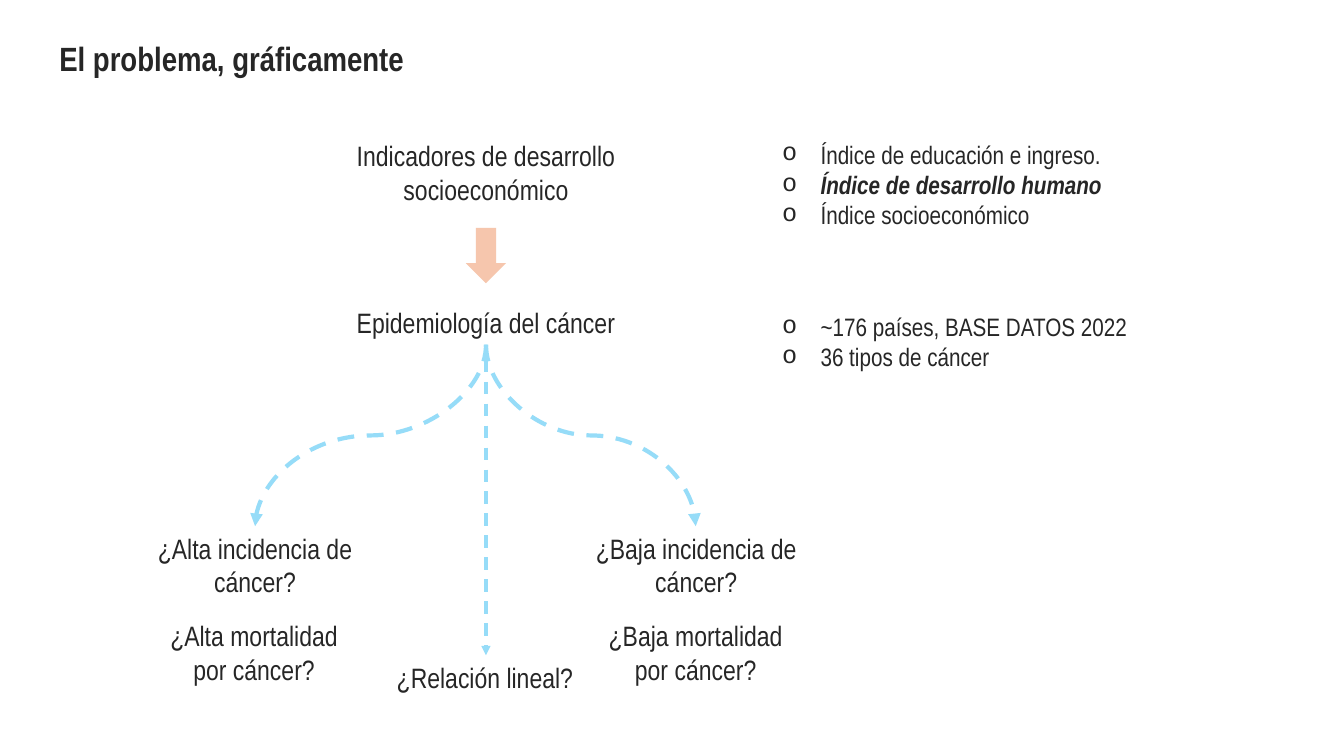
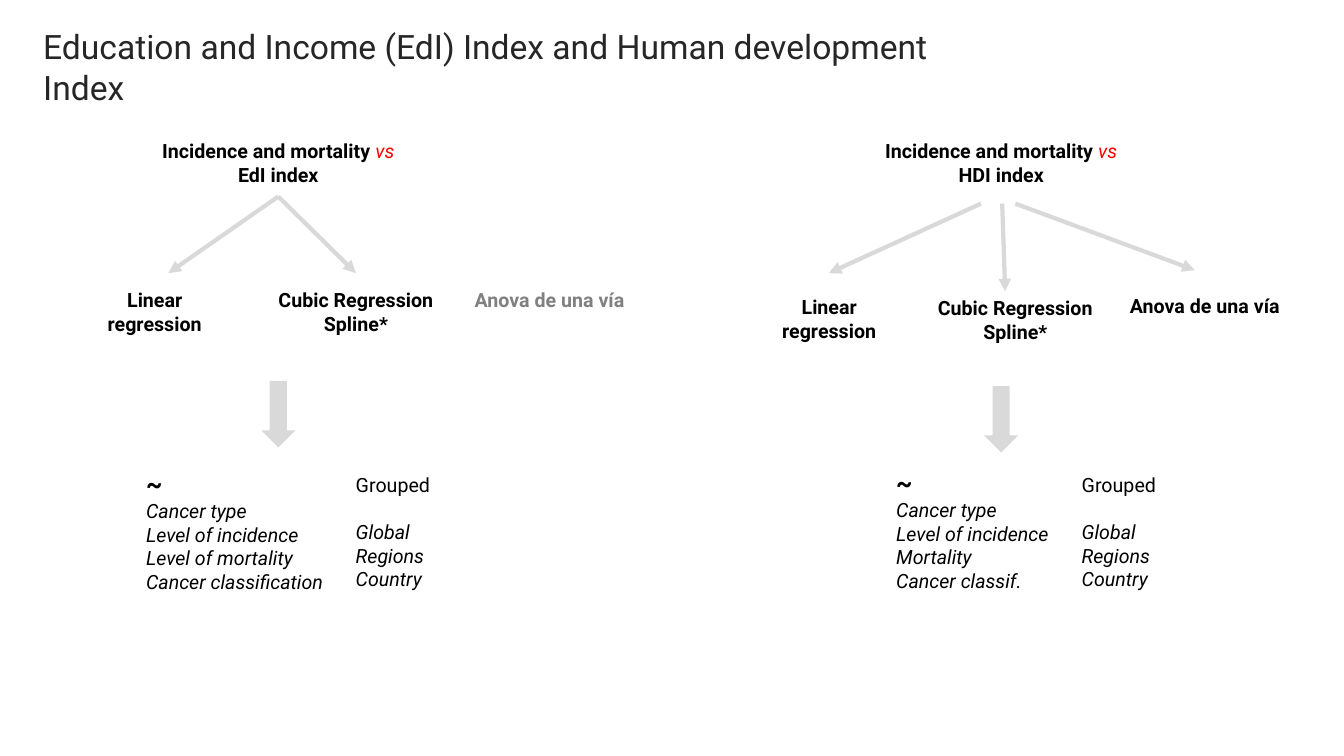
from lxml.etree import SubElement
from pptx import Presentation
from pptx.dml.color import RGBColor
from pptx.enum.dml import MSO_LINE
from pptx.enum.shapes import MSO_CONNECTOR, MSO_SHAPE
from pptx.enum.text import MSO_AUTO_SIZE, PP_ALIGN
from pptx.oxml.ns import qn
from pptx.util import Inches, Pt

INK = RGBColor(0x26, 0x26, 0x26)
BLACK = RGBColor(0, 0, 0)
RED = RGBColor(0xFF, 0, 0)
MUTED = RGBColor(0x80, 0x80, 0x80)
GREY = RGBColor(0xD9, 0xD9, 0xD9)
PEACH = RGBColor(0xF6, 0xC6, 0xAD)
SKY = RGBColor(0x96, 0xDC, 0xF8)
NARROW, ROBOTO = "Arial Narrow", "Roboto"

# Text boxes: left, top, width, height
PROBLEM = "El problema, gráficamente"
NODES = [
    ("Indicadores de desarrollo socioeconómico", (3.14, 1.33, 3.36, 0.77)),
    ("Epidemiología del cáncer", (3.14, 2.98, 3.36, 0.44)),
    ("¿Alta incidencia de cáncer?", (1.46, 5.22, 2.14, 0.77)),
    ("¿Baja incidencia de cáncer?", (5.73, 5.22, 2.35, 0.77)),
    ("¿Alta mortalidad por cáncer?", (1.45, 6.09, 2.14, 0.77)),
    ("¿Baja mortalidad por cáncer?", (5.83, 6.09, 2.14, 0.77)),
    ("¿Relación lineal?", (3.74, 6.5, 2.14, 0.44)),
]
STRESSED = "Índice de desarrollo humano"
LISTS = [
    (["Índice de educación e ingreso.", STRESSED, "Índice socioeconómico"],
     (7.66, 1.33, 4.21, 1.01)),
    (["~176 países, BASE DATOS 2022", "36 tipos de cáncer"],
     (7.66, 3.04, 4.21, 0.71)),
]
HUB = (4.82, 3.42)
BRANCHES = [(2.53, 5.22), (6.9, 5.22)]

INDEXES = "Education and Income (EdI) Index and Human development Index"
LINEAR, SPLINE, ANOVA = ("Linear regression", "Cubic Regression Spline*",
                         "Anova de una vía")
GROUPS = ["Global", "Regions", "Country"]
PANELS = [
    dict(index="EdI index", left=1.47,
         methods=[(LINEAR, (0.72, 2.81, 1.63, 0.57), BLACK),
                  (SPLINE, (2.57, 2.81, 1.92, 0.57), BLACK),
                  (ANOVA, (4.49, 2.81, 1.92, 0.34), MUTED)],
         arrows=[((2.76, 1.95), (1.67, 2.71)), ((2.76, 1.95), (3.53, 2.71))],
         block=3.78,
         factors=["Cancer type", "Level of incidence", "Level of mortality",
                  "Cancer classification"],
         factor_box=(1.35, 4.6, 2.08, 1.35), group_left=3.43),
    dict(index="HDI index", left=8.64,
         methods=[(LINEAR, (7.41, 2.88, 1.63, 0.57), BLACK),
                  (SPLINE, (9.11, 2.89, 1.92, 0.57), BLACK),
                  (ANOVA, (10.99, 2.87, 1.92, 0.34), BLACK)],
         arrows=[((9.73, 2.02), (8.22, 2.71)), ((9.94, 2.02), (9.97, 2.89)),
                 ((10.07, 2.02), (11.85, 2.68))],
         block=3.83,
         factors=["Cancer type", "Level of incidence", "Mortality",
                  "Cancer classif."],
         factor_box=(8.79, 4.59, 1.89, 1.35), group_left=10.63),
]


def add_text(slide, lines, box, font, size, color=INK, bold=False,
             align=PP_ALIGN.LEFT):
    """Add a text box with one paragraph per line and return its paragraphs."""
    frame = slide.shapes.add_textbox(*map(Inches, box)).text_frame
    frame.word_wrap = True
    frame.auto_size = MSO_AUTO_SIZE.SHAPE_TO_FIT_TEXT
    frame.text = "\n".join(lines)
    for par in frame.paragraphs:
        par.alignment = align
        par.font.name, par.font.size = font, Pt(size)
        par.font.bold = bold
        par.font.color.rgb = color
    return frame.paragraphs


def add_title(slide, title, box, font, bold=False):
    add_text(slide, [title], box, font, 24, bold=bold)


def add_bullet(par):
    props = par._p.get_or_add_pPr()
    props.set("marL", str(Inches(0.38)))
    props.set("indent", str(-Inches(0.38)))
    face = SubElement(props, qn("a:buFont"))
    face.set("typeface", "Courier New")
    SubElement(props, qn("a:buChar")).set("char", "o")
    # Schema order puts the default font after the bullet
    props.append(props.find(qn("a:defRPr")))


def add_arrow(slide, start, end, color, width, dash=None,
              kind=MSO_CONNECTOR.STRAIGHT):
    ends = map(Inches, (*start, *end))
    arrow = slide.shapes.add_connector(kind, *ends)
    arrow.line.color.rgb = color
    arrow.line.width = Pt(width)
    if dash:
        arrow.line.dash_style = dash
    SubElement(arrow.line._get_or_add_ln(), qn("a:tailEnd")).set("type", "triangle")
    SubElement(arrow._element.spPr, qn("a:effectLst"))
    return arrow


def add_curve(slide, start, end):
    """Add a curved arrow that leaves and arrives vertically: a turned frame."""
    (x1, y1), (x2, y2) = start, end
    mid_x, mid_y = (x1 + x2) / 2, (y1 + y2) / 2
    side = 1 if x2 > x1 else -1
    half_w, half_h = side * (y2 - y1) / 2, abs(x2 - x1) / 2
    curve = add_arrow(slide, (mid_x + half_w, mid_y - half_h),
                      (mid_x - half_w, mid_y + half_h),
                      SKY, 3, MSO_LINE.DASH, MSO_CONNECTOR.CURVE)
    turn = 270 if side > 0 else 90
    curve._element.spPr.find(qn("a:xfrm")).set("rot", str(turn * 60000))


def add_block(slide, box, color):
    block = slide.shapes.add_shape(MSO_SHAPE.DOWN_ARROW, *map(Inches, box))
    block.shadow.inherit = False
    block.fill.solid()
    block.fill.fore_color.rgb = color
    block.line.fill.background()


def draw_problem(slide):
    add_title(slide, PROBLEM, (0.49, 0.33, 4.07, 0.5), NARROW, bold=True)
    for label, box in NODES:
        add_text(slide, [label], box, NARROW, 20, align=PP_ALIGN.CENTER)
    for items, box in LISTS:
        for par in add_text(slide, items, box, NARROW, 18):
            add_bullet(par)
            par.font.bold = par.font.italic = par.text == STRESSED
    add_block(slide, (4.62, 2.26, 0.4, 0.55), PEACH)
    for end in BRANCHES:
        add_curve(slide, HUB, end)
    add_arrow(slide, (HUB[0], 3.57), (HUB[0], 6.5), SKY, 2.25, MSO_LINE.DASH)


def draw_panel(slide, panel):
    left = panel["left"]
    head, = add_text(slide, ["Incidence and mortality "],
                     (left, 1.33, 2.58, 0.57), ROBOTO, 14, BLACK, True,
                     PP_ALIGN.CENTER)
    versus = head.add_run()
    versus.text = "vs "
    versus.font.bold, versus.font.italic = False, True
    versus.font.color.rgb = RED
    head.add_run().text = panel["index"]

    for label, box, color in panel["methods"]:
        add_text(slide, [label], box, ROBOTO, 14, color, True, PP_ALIGN.CENTER)
    for start, end in panel["arrows"]:
        add_arrow(slide, start, end, GREY, 3)
    add_block(slide, (left + 1.12, panel["block"], 0.34, 0.66), GREY)

    tilde, *factors = add_text(slide, ["~", *panel["factors"]],
                               panel["factor_box"], ROBOTO, 14, BLACK)
    tilde.font.size, tilde.font.bold = Pt(18), True
    _, *groups = add_text(slide, ["Grouped", *GROUPS],
                          (panel["group_left"], 4.64, 1.07, 1.28),
                          ROBOTO, 14, BLACK)
    groups[0].space_before = Pt(17)
    for par in factors + groups:
        par.font.italic = True


def draw_indexes(slide):
    add_title(slide, INDEXES, (0.33, 0.21, 9.69, 0.5), ROBOTO)
    for panel in PANELS:
        draw_panel(slide, panel)


def main():
    deck = Presentation()
    deck.slide_width, deck.slide_height = Inches(13.33), Inches(7.5)
    for draw in (draw_problem, draw_indexes):
        draw(deck.slides.add_slide(deck.slide_layouts[6]))
    deck.save("out.pptx")


if __name__ == "__main__":
    main()
